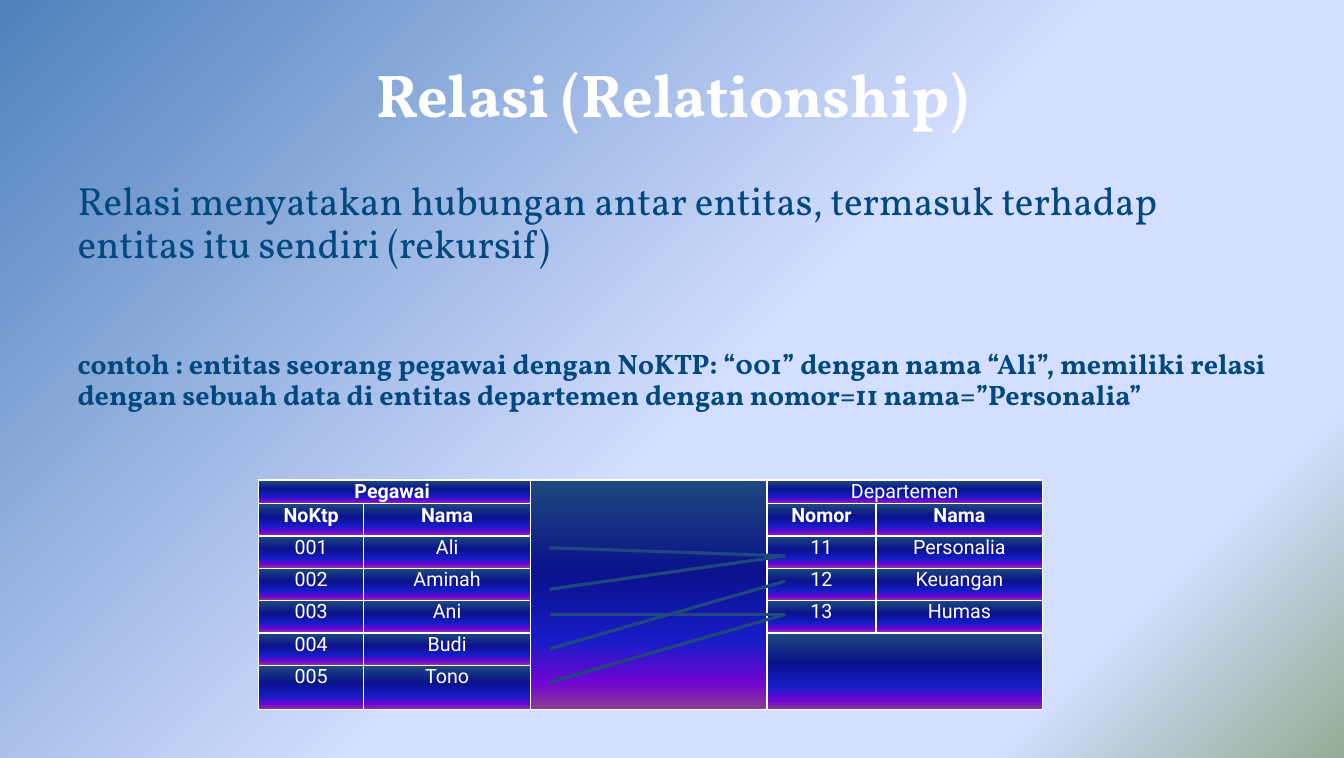
import lxml.etree
import pptx
import pptx.dml.color
import pptx.enum.shapes
import pptx.enum.text
import pptx.oxml.ns
import pptx.util

RGB = pptx.dml.color.RGBColor
ALIGN = pptx.enum.text.PP_ALIGN
ANCHOR = pptx.enum.text.MSO_ANCHOR
qn = pptx.oxml.ns.qn
PX = 9144

WHITE = RGB(0xFF, 0xFF, 0xFF)
DEEP_BLUE = RGB(0x00, 0x48, 0x7E)
NAVY = RGB(0x1F, 0x49, 0x7D)
SKY = RGB(0x4F, 0x81, 0xBD)
LAVENDER = RGB(0xD4, 0xDE, 0xFF)
SAGE = RGB(0x96, 0xAB, 0x94)
INK = RGB(0x0A, 0x12, 0x8C)
ROYAL = RGB(0x18, 0x1C, 0xC7)
VIOLET = RGB(0x70, 0x05, 0xD4)
PLUM = RGB(0x8C, 0x3D, 0x91)

BACKDROP = [(0, SKY, 71), (53, LAVENDER, 100), (83, LAVENDER, 100), (100, SAGE, 100)]
CELL_GLOW = [(0, NAVY, 100), (40, INK, 100), (70, ROYAL, 100), (88, VIOLET, 100), (100, PLUM, 100)]

COLUMNS = [104, 165, 234, 108, 165]
ROWS = [23] + [32] * 5 + [44]
MERGES = [(0, 0, 0, 1), (0, 2, 6, 2), (0, 3, 0, 4), (5, 3, 6, 4)]
RECORDS = [
    ["Pegawai ", "", "", "Departemen", ""],
    ["NoKtp", "Nama", "", "Nomor", "Nama"],
    ["001", "Ali", "", "11", "Personalia"],
    ["002", "Aminah", "", "12", "Keuangan"],
    ["003", "Ani", "", "13", "Humas"],
    ["004", "Budi", "", "", ""],
    ["005", "Tono", "", "", ""],
]
BOLD_CELLS = {"Pegawai ", "NoKtp", "Nama", "Nomor"}
RELATIONS = [(67, 75), (108, 75), (133, 133), (200, 133), (167, 100)]


def px(length):
    return pptx.util.Emu(length * PX)


def apply(target, values):
    for attribute, value in values.items():
        setattr(target, attribute, value)


def add_colour(parent, colour, opacity=100):
    swatch = lxml.etree.SubElement(parent, qn("a:srgbClr"), val=str(colour))
    if opacity < 100:
        lxml.etree.SubElement(swatch, qn("a:alpha"), val=str(opacity * 1000))


def paint_gradient(fill, element, stops, angle):
    fill.gradient()
    fill.gradient_angle = 360 - angle
    stop_list = element.find(".//" + qn("a:gsLst"))
    for default_stop in list(stop_list):
        stop_list.remove(default_stop)
    for position, colour, opacity in stops:
        stop = lxml.etree.SubElement(stop_list, qn("a:gs"), pos=str(position * 1000))
        add_colour(stop, colour, opacity)


def write(paragraph, words, layout, font, colour):
    apply(paragraph, layout)
    run = paragraph.add_run()
    run.text = words
    apply(run.font, font)
    run.font.color.rgb = colour


def add_statement(slide, box, words, size, colour, bold, layout, anchor=ANCHOR.TOP):
    frame = slide.shapes.add_textbox(*map(px, box)).text_frame
    apply(frame, {"word_wrap": True, "vertical_anchor": anchor})
    font = {"name": "Vollkorn", "size": pptx.util.Pt(size), "bold": bold}
    write(frame.paragraphs[0], words, layout, font, colour)


def add_body(slide, box, words, size, bold):
    layout = {"line_spacing": 0.9, "space_before": pptx.util.Pt(size * 0.2)}
    add_statement(slide, box, words, size, DEEP_BLUE, bold, layout)


def format_cell(cell, words):
    apply(cell, {"margin_left": px(7), "margin_right": px(7), "margin_top": 0, "margin_bottom": 0})
    paragraph = cell.text_frame.paragraphs[0]
    if words:
        font = {"name": "Roboto", "size": pptx.util.Pt(14), "bold": words in BOLD_CELLS}
        write(paragraph, words, {"alignment": ALIGN.CENTER}, font, WHITE)
    else:
        lxml.etree.SubElement(paragraph._p, qn("a:endParaRPr"), sz="1400")
    paint_gradient(cell.fill, cell._tc, CELL_GLOW, 90)
    properties = cell._tc.tcPr
    for order, side in enumerate(("a:lnL", "a:lnR", "a:lnT", "a:lnB")):
        border = lxml.etree.Element(qn(side), w=str(pptx.util.Pt(1)))
        add_colour(lxml.etree.SubElement(border, qn("a:solidFill")), WHITE)
        properties.insert(order, border)


def add_entities(slide, left, top):
    frame = slide.shapes.add_table(
        len(ROWS), len(COLUMNS), px(left), px(top), px(sum(COLUMNS)), px(sum(ROWS)))
    entities = frame.table
    apply(entities, {"first_row": False, "horz_banding": False})
    for column, width in zip(entities.columns, COLUMNS):
        column.width = px(width)
    for row, height, record in zip(entities.rows, ROWS, RECORDS):
        row.height = px(height)
        for cell, words in zip(row.cells, record):
            format_cell(cell, words)
    for first_row, first_column, last_row, last_column in MERGES:
        entities.cell(first_row, first_column).merge(entities.cell(last_row, last_column))


def add_relations(slide, left, top, width):
    for employee, department in RELATIONS:
        relation = slide.shapes.add_connector(
            pptx.enum.shapes.MSO_CONNECTOR.STRAIGHT,
            px(left), px(top + employee), px(left + width), px(top + department))
        relation.line.color.rgb = NAVY
        relation.line.width = pptx.util.Pt(2.25)
        lxml.etree.SubElement(relation._element.spPr, qn("a:effectLst"))


def build_relationship_slide(deck):
    slide = deck.slides.add_slide(deck.slide_layouts[6])
    paint_gradient(slide.background.fill, slide._element, BACKDROP, 45)
    add_statement(slide, (67, 30, 1197, 125), "Relasi (Relationship)", 43, WHITE, True,
                  {"alignment": ALIGN.CENTER}, ANCHOR.MIDDLE)
    add_body(slide, (67, 175, 1197, 107),
             "Relasi menyatakan hubungan antar entitas, termasuk terhadap "
             "entitas itu sendiri (rekursif)", 28, False)
    add_entities(slide, 256, 475)
    add_relations(slide, 544, 475, 233)
    add_body(slide, (67, 342, 1197, 92),
             "contoh : entitas seorang pegawai dengan NoKTP: “001” dengan nama “Ali”, "
             "memiliki relasi dengan sebuah data di entitas departemen dengan "
             "nomor=11 nama=”Personalia”", 20, True)


def main():
    deck = pptx.Presentation()
    apply(deck, {"slide_width": px(1330), "slide_height": px(750)})
    build_relationship_slide(deck)
    deck.save("out.pptx")


if __name__ == "__main__":
    main()
